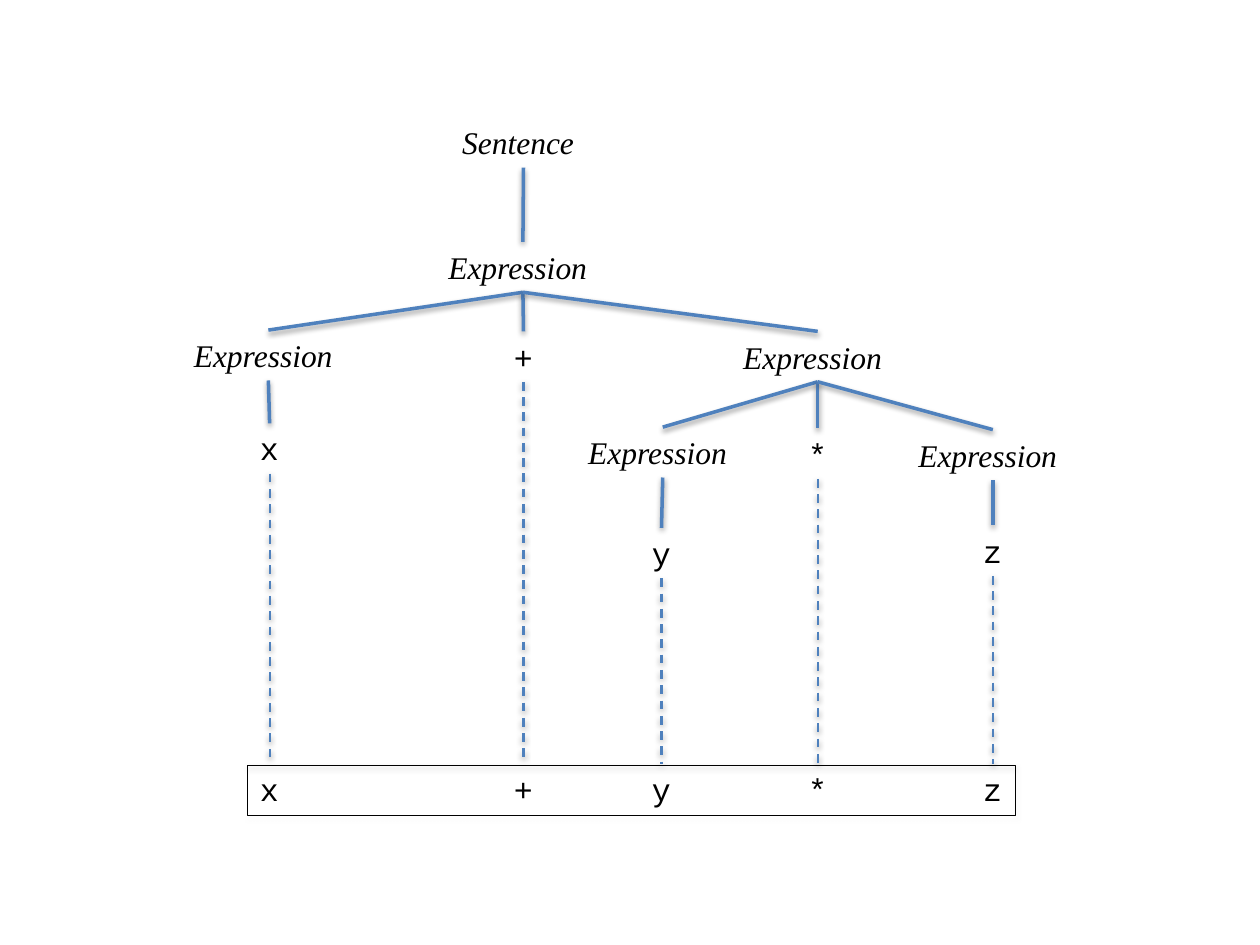
import dataclasses
import pptx
import pptx.dml.color
import pptx.enum.dml
import pptx.enum.shapes
import pptx.enum.text
import pptx.util

Inches = pptx.util.Inches


def color(value):
    return pptx.dml.color.RGBColor.from_string(value)


def write(frame, text, font="Times New Roman", size=18, fill="000000", italic=False):
    span = frame.paragraphs[0].add_run()
    span.text = text
    span.font.name = font
    span.font.size = pptx.util.Pt(size)
    span.font.italic = italic
    span.font.color.rgb = color(fill)


@dataclasses.dataclass
class Node:
    text: str
    center: float
    top: float
    parent: str = ""

    @property
    def bottom(self):
        return self.top + TreeSlide.label_height


class TreeSlide:
    label_height = 0.4
    widths = {"Sentence": 1.17, "Expression": 1.38}
    token_width = 0.35
    branch_color = "4F81BD"

    def __init__(self, page):
        self.page = page

    def label(self, node):
        is_token = node.text not in self.widths
        width = self.widths.get(node.text, self.token_width)
        box = self.page.shapes.add_textbox(
            Inches(node.center - width / 2), Inches(node.top),
            Inches(width), Inches(self.label_height))
        frame = box.text_frame
        frame.word_wrap = False
        frame.auto_size = pptx.enum.text.MSO_AUTO_SIZE.SHAPE_TO_FIT_TEXT
        write(frame, node.text, italic=not is_token,
              font="Courier New" if is_token else "Times New Roman")

    def link(self, upper, lower, width=2, dashed=False):
        line = self.page.shapes.add_connector(
            pptx.enum.shapes.MSO_CONNECTOR.STRAIGHT,
            Inches(upper.center), Inches(upper.bottom),
            Inches(lower.center), Inches(lower.top)).line
        line.color.rgb = color(self.branch_color)
        line.width = pptx.util.Pt(width)
        if dashed:
            line.dash_style = pptx.enum.dml.MSO_LINE.DASH

    def outline(self, left, top, width, height):
        box = self.page.shapes.add_shape(
            pptx.enum.shapes.MSO_SHAPE.RECTANGLE,
            Inches(left), Inches(top), Inches(width), Inches(height))
        box.fill.background()
        box.line.color.rgb = color("000000")
        box.line.width = pptx.util.Pt(0.25)


deck = pptx.Presentation()
deck.slide_width = Inches(10)
deck.slide_height = Inches(7.5)
slide = TreeSlide(deck.slides.add_slide(deck.slide_layouts[6]))

tree = {
    "sentence": Node("Sentence", 4.155, 0.93),
    "sum": Node("Expression", 4.15, 1.92, "sentence"),
    "left": Node("Expression", 2.13, 2.62, "sum"),
    "plus": Node("+", 4.155, 2.63, "sum"),
    "product": Node("Expression", 6.49, 2.63, "sum"),
    "x": Node("x", 2.14, 3.36, "left"),
    "first factor": Node("Expression", 5.26, 3.39, "product"),
    "times": Node("*", 6.49, 3.4, "product"),
    "second factor": Node("Expression", 7.88, 3.41, "product"),
    "y": Node("y", 5.25, 4.19, "first factor"),
    "z": Node("z", 7.88, 4.17, "second factor"),
}
input_top = 6.06

for node in tree.values():
    slide.label(node)
    if node.parent:
        slide.link(tree[node.parent], node)

for name in ("x", "plus", "y", "times", "z"):
    leaf = tree[name]
    symbol = Node(leaf.text, leaf.center, input_top)
    slide.label(symbol)
    slide.link(leaf, symbol, width=1.25, dashed=True)

slide.outline(1.96, 6.07, 6.1, slide.label_height)

deck.save("out.pptx")
